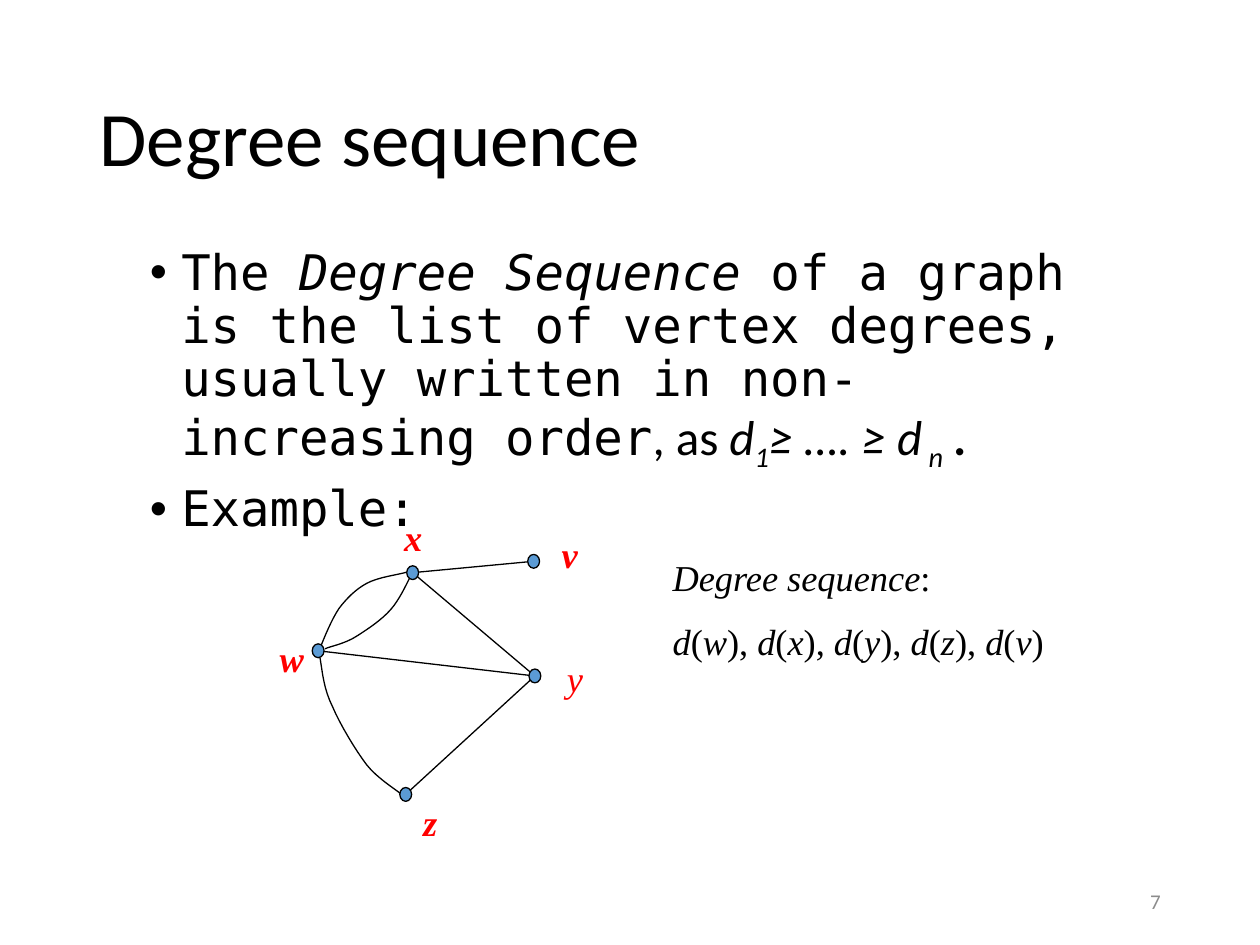
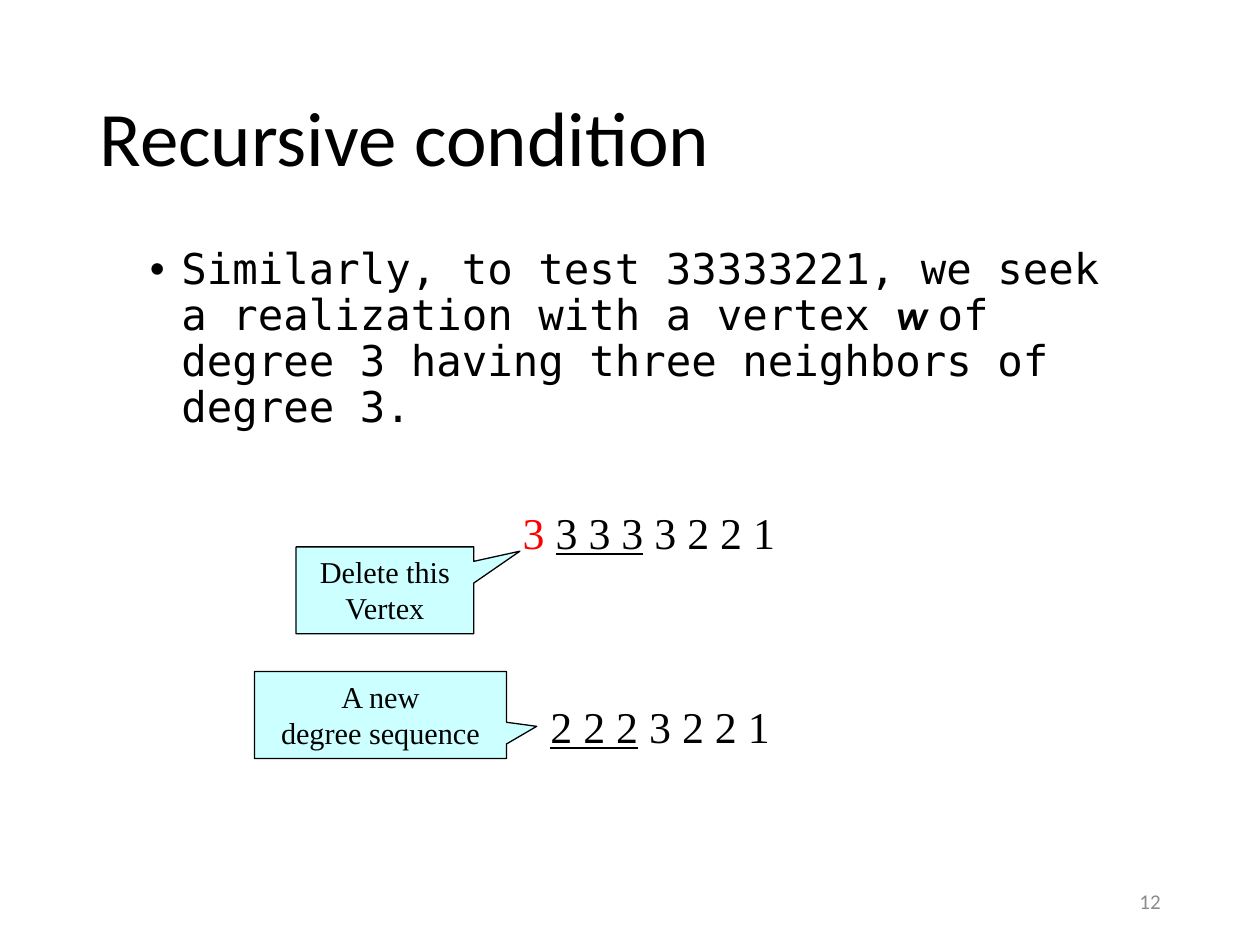
from lxml.etree import SubElement
from pptx import Presentation
from pptx.dml.color import RGBColor
from pptx.enum.shapes import MSO_CONNECTOR as Connector, MSO_SHAPE as Shape
from pptx.enum.text import MSO_ANCHOR as Anchor, PP_ALIGN as Align
from pptx.oxml.ns import qn
from pptx.util import Inches, Pt

COLUMNS, ROWS = 100, 75
CELL = Inches(0.1)
BLACK, RED, GREY, NODE_BLUE, PALE_CYAN = "000000", "FF0000", "8C8C8C", "5B9BD5", "CCFFFF"
SANS, MONO, SERIF = "Calibri", "DejaVu Sans Mono", "Times New Roman"
ITALIC, SUBSCRIPT = {"italic": True}, {"italic": True, "subscript": True}
TITLE_ONLY = 5
NODE_WIDTH, NODE_HEIGHT = 0.94, 1.1

# Vertex: centre, label position
VERTICES = {
    "x": ((32.75, 45.45), (31.1, 40.4)),
    "w": ((25.25, 51.65), (21.2, 50)),
    "y": ((42.45, 53.65), (44, 51.6)),
    "z": ((32.2, 63.05), (32.6, 63)),
    "v": ((42.35, 44.55), (43.6, 41.7)),
}
STRAIGHT_EDGES = ("wy", "zy", "xy", "xv")
# Each curved edge: a start point, then three points for every Bezier segment
CURVED_EDGES = (
    [(25.4, 52.2), (25.6, 53.4), (25.7, 54.7), (26.4, 56.1), (27, 57.5),
     (28.2, 59.5), (29.1, 60.7), (30, 61.8), (31.2, 62.5), (31.8, 63)],
    [(25.5, 51.2), (25.7, 50.7), (26.3, 49.2), (26.9, 48.3), (27.5, 47.5),
     (28.2, 46.8), (29.1, 46.3), (30, 45.8), (31.7, 45.6), (32.3, 45.4)],
    [(25.8, 51.5), (26.2, 51.3), (27.4, 51.1), (28.3, 50.5), (29.1, 50),
     (30.3, 49.2), (31, 48.4), (31.7, 47.6), (32.2, 46.5), (32.5, 45.9)],
)


def grid(*lengths):
    return [round(length * CELL) for length in lengths]


def colour(target, hex_code):
    """Colour a font, or give a fill or line a solid colour."""
    if hasattr(target, "solid"):
        target.solid()
        target.fore_color.rgb = RGBColor.from_string(hex_code)
    else:
        target.color.rgb = RGBColor.from_string(hex_code)


def outline(shape):
    colour(shape.line, BLACK)
    shape.line.width = Pt(0.75)


def write(para, spans, size, font, ink=BLACK):
    """Add spans, each plain text or a (text, style) pair, to a paragraph."""
    for part in spans:
        text, style = (part, {}) if isinstance(part, str) else part
        span = para.add_run()
        span.text = text
        span.font.size = Pt(size)
        span.font.name = style.get("font", font)
        colour(span.font, style.get("ink", ink))
        span.font.bold = style.get("bold", False)
        span.font.italic = style.get("italic", False)
        span.font.underline = style.get("underline", False)
        if style.get("subscript"):
            span._r.get_or_add_rPr().set("baseline", "-25000")


def fill_frame(frame, paragraphs, size, font, ink=BLACK, align=Align.LEFT, gap=0):
    frame.word_wrap = True
    for index, spans in enumerate(paragraphs):
        para = frame.add_paragraph() if index else frame.paragraphs[0]
        para.alignment = align
        if index:
            para.space_before = Pt(gap)
        write(para, spans, size, font, ink)
    return frame


def add_text(page, place, paragraphs, size, font, **layout):
    box = page.shapes.add_textbox(*grid(*place))
    return fill_frame(box.text_frame, paragraphs, size, font, **layout)


def indent(para, left, first=0):
    properties = para._p.get_or_add_pPr()
    properties.set("marL", str(Inches(left)))
    properties.set("indent", str(Inches(first)))
    return properties


def add_bullets(page, height, paragraphs, size):
    frame = add_text(page, (10.9, 19.2, 78.2, height), paragraphs, size, MONO, gap=10)
    for para in frame.paragraphs:
        para.line_spacing = 0.9
        properties = indent(para, 0.25, -0.25)
        SubElement(properties, qn("a:buFont")).set("typeface", "Arial")
        SubElement(properties, qn("a:buChar")).set("char", "•")


def add_page(deck, title, number):
    page = deck.slides.add_slide(deck.slide_layouts[TITLE_ONLY])
    heading = page.shapes.title
    heading.left, heading.top, heading.width, heading.height = grid(6.9, 4, 86.2, 14.5)
    frame = fill_frame(heading.text_frame, [[title]], 44, SANS)
    frame.vertical_anchor = Anchor.MIDDLE
    frame.paragraphs[0].line_spacing = 0.9
    footer = add_text(page, (70.6, 69.5, 22.5, 4), [[number]], 12, SANS,
                      ink=GREY, align=Align.RIGHT)
    footer.vertical_anchor = Anchor.MIDDLE
    return page


def add_straight_edge(page, start, end):
    edge = page.shapes.add_connector(Connector.STRAIGHT, *grid(*start, *end))
    outline(edge)
    SubElement(edge._element.spPr, qn("a:effectLst"))


def bezier_points(points, steps=8):
    for first in range(0, len(points) - 1, 3):
        a, b, c, d = points[first:first + 4]
        for step in range(1, steps + 1):
            t = step / steps
            weights = ((1 - t) ** 3, 3 * t * (1 - t) ** 2, 3 * t * t * (1 - t), t ** 3)
            yield grid(*(sum(w * p for w, p in zip(weights, axis)) for axis in zip(a, b, c, d)))


def add_curved_edge(page, points):
    builder = page.shapes.build_freeform(*grid(*points[0]))
    builder.add_line_segments(list(bezier_points(points)), close=False)
    edge = builder.convert_to_shape()
    edge.shadow.inherit = False
    edge.fill.background()
    outline(edge)


def add_vertex(page, name, centre, label_at):
    x, y = centre
    node = page.shapes.add_shape(Shape.OVAL, *grid(
        x - NODE_WIDTH / 2, y - NODE_HEIGHT / 2, NODE_WIDTH, NODE_HEIGHT))
    node.shadow.inherit = False
    colour(node.fill, NODE_BLUE)
    outline(node)
    style = {"italic": True, "bold": name != "y"}
    add_text(page, (*label_at, 3.8, 4.5), [[(name, style)]], 20.8, SERIF, ink=RED)


def add_callout(page, place, tip, paragraphs):
    callout = page.shapes.add_shape(Shape.RECTANGULAR_CALLOUT, *grid(*place))
    callout.adjustments[0], callout.adjustments[1] = tip
    callout.shadow.inherit = False
    colour(callout.fill, PALE_CYAN)
    outline(callout)
    frame = fill_frame(callout.text_frame, paragraphs, 17.3, SERIF, align=Align.CENTER)
    frame.vertical_anchor = Anchor.TOP


def degree_list(names):
    spans = []
    for name in names:
        closing = ")" if name == names[-1] else "), "
        spans += [("d", ITALIC), "(", (name, ITALIC), closing]
    return spans


def build_degree_sequence(deck):
    page = add_page(deck, "Degree sequence", "7")
    formula = {"font": SANS, **ITALIC}
    subscript = {"font": SANS, **SUBSCRIPT}
    add_bullets(page, 20.7, [
        ["The ", ("Degree Sequence", ITALIC),
         " of a graph is the list of vertex degrees, usually written in non-increasing order",
         (", as ", {"font": SANS}), ("d", formula), ("1", subscript),
         ("≥ …. ≥ d", formula), (" n", subscript), (" .", {**formula, "bold": True})],
        ["Example:"],
    ], 28)
    for start, end in STRAIGHT_EDGES:
        add_straight_edge(page, VERTICES[start][0], VERTICES[end][0])
    for points in CURVED_EDGES:
        add_curved_edge(page, points)
    for name, (centre, label_at) in VERTICES.items():
        add_vertex(page, name, centre, label_at)
    add_text(page, (52.4, 43.6, 32.3, 9.8),
             [[("Degree sequence", ITALIC), ":"], degree_list("wxyzv")],
             20.8, SERIF, gap=11.5)


def build_recursive_condition(deck):
    page = add_page(deck, "Recursive condition", "12")
    add_bullets(page, 16.5, [
        ["Similarly, to test 33333221, we seek a realization with a vertex ",
         ("w ", {"font": SANS, "bold": True, "italic": True}),
         "of degree 3 having three neighbors of degree 3."],
    ], 24.2)
    underlined = {"underline": True}
    add_text(page, (40.5, 39.6, 32.1, 5.2),
             [[("3 ", {"ink": RED}), ("3 3 3", underlined), " 3 2 2 1"]], 25.1, SERIF)
    reduced = add_text(page, (40.1, 55, 32.1, 5.2),
                       [[("2 2 2", underlined), " 3 2 2 1"]], 25.1, SERIF)
    indent(reduced.paragraphs[0], 0.26)
    add_callout(page, (23.5, 43.4, 14.1, 6.9), (0.76, -0.45), [["Delete this Vertex"]])
    add_callout(page, (20.2, 53.3, 20, 6.9), (0.62, 0.13), [["A new"], ["degree sequence"]])


def main():
    deck = Presentation()
    deck.slide_width, deck.slide_height = grid(COLUMNS, ROWS)
    build_degree_sequence(deck)
    build_recursive_condition(deck)
    deck.save("out.pptx")


if __name__ == "__main__":
    main()
